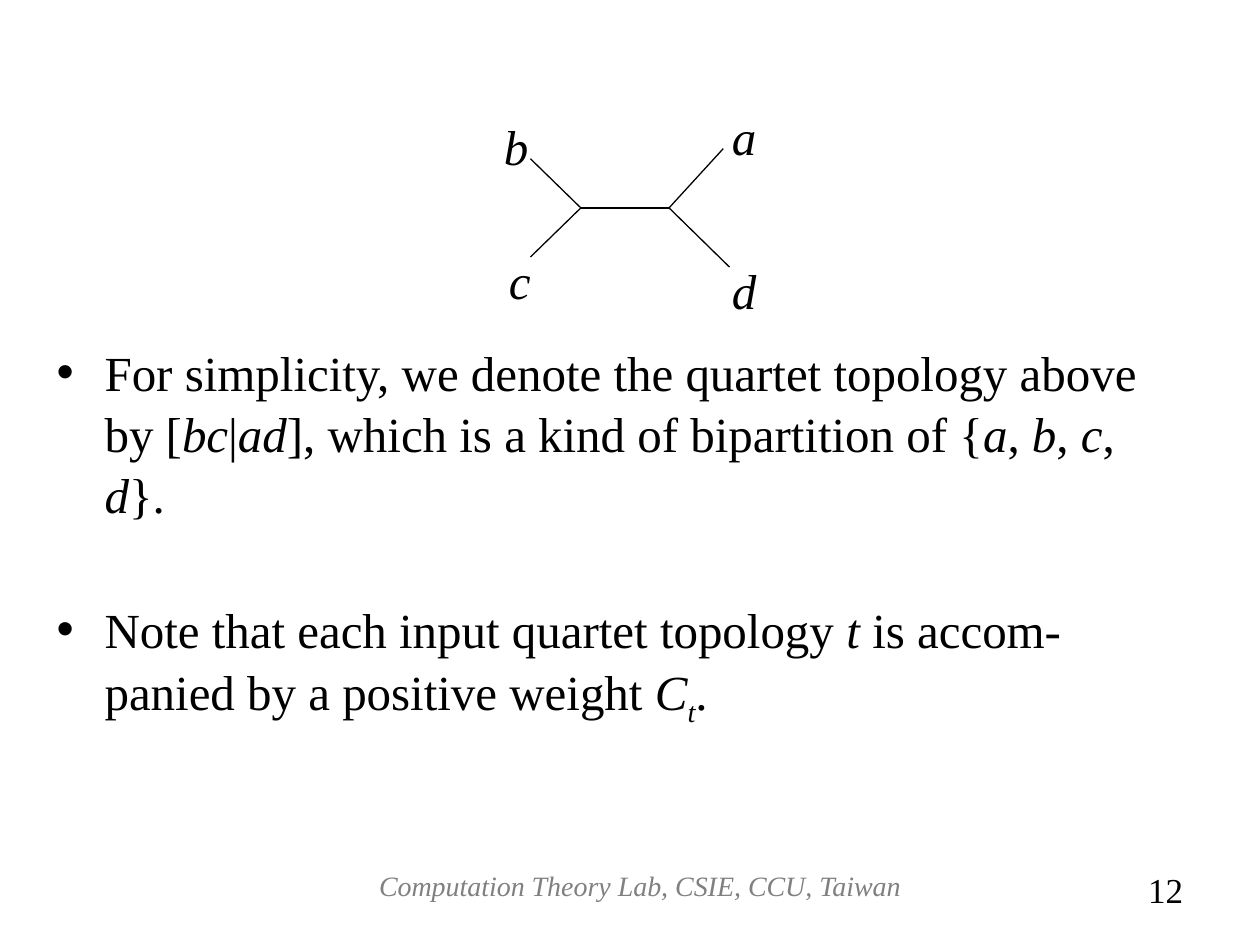
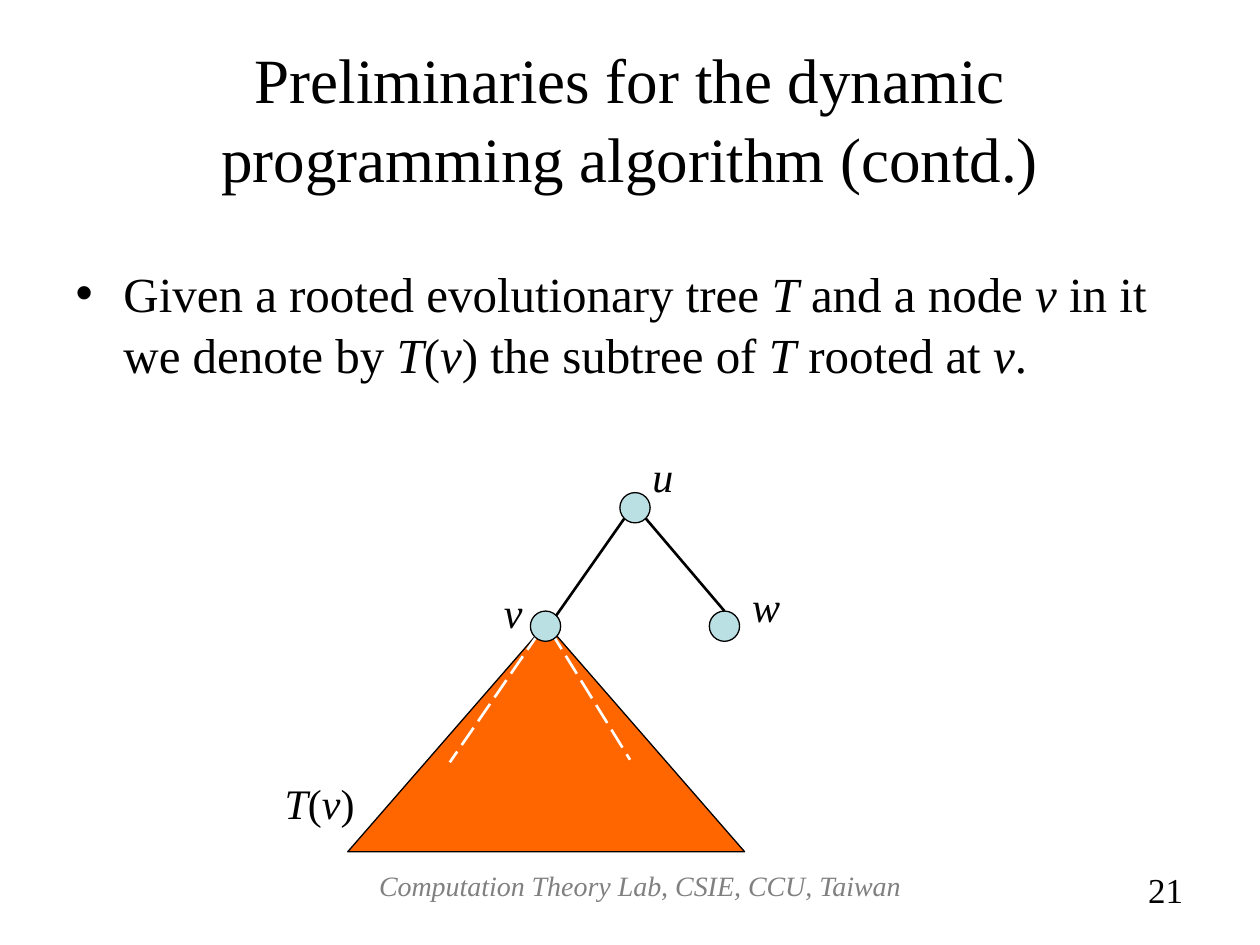
from dataclasses import dataclass
from math import sqrt

from lxml import etree
from pptx import Presentation
from pptx.dml.color import RGBColor
from pptx.enum.dml import MSO_LINE
from pptx.enum.shapes import MSO_CONNECTOR, MSO_SHAPE
from pptx.enum.text import MSO_ANCHOR, MSO_AUTO_SIZE, PP_ALIGN
from pptx.oxml.ns import qn
from pptx.util import Inches, Pt

LEFT, CENTER, RIGHT = PP_ALIGN.LEFT, PP_ALIGN.CENTER, PP_ALIGN.RIGHT
TOP, MIDDLE = MSO_ANCHOR.TOP, MSO_ANCHOR.MIDDLE
OVAL, TRIANGLE = MSO_SHAPE.OVAL, MSO_SHAPE.ISOSCELES_TRIANGLE
STRAIGHT, LONG_DASH = MSO_CONNECTOR.STRAIGHT, MSO_LINE.LONG_DASH
NO_AUTOFIT = MSO_AUTO_SIZE.NONE


@dataclass(frozen=True)
class Theme:
    font: str = "Times New Roman"
    ink: str = "000000"
    muted: str = "808080"
    paper: str = "FFFFFF"
    node: str = "BBE0E3"
    subtree: str = "FF6600"
    title: int = 36
    body: int = 28
    label: int = 24
    number: int = 20
    footer: int = 16
    thin: float = 0.75
    thick: float = 1.5
    spacing: float = 1.04


THEME = Theme()
FOOTER = "Computation Theory Lab, CSIE, CCU, Taiwan"


def rgb(value):
    return RGBColor.from_string(value)


def add_runs(p, text, size, color=THEME.ink):
    """Write text in which *stars* mark italics and _underscores_ an italic subscript."""
    for i, part in enumerate(text.split("*")):
        for j, piece in enumerate(part.split("_")):
            if not piece:
                continue
            r = p.add_run()
            r.text = piece
            style = {"name": THEME.font, "size": Pt(size),
                     "italic": bool(i % 2 or j % 2)}
            for name, value in style.items():
                setattr(r.font, name, value)
            r.font.color.rgb = rgb(color)
            if j % 2:
                r.font._element.set("baseline", "-25000")


def format_frame(tf, anchor=TOP):
    style = {"word_wrap": True, "auto_size": NO_AUTOFIT, "vertical_anchor": anchor,
             "margin_left": Inches(0.1), "margin_right": Inches(0.1),
             "margin_top": Inches(0.05), "margin_bottom": Inches(0.05)}
    for name, value in style.items():
        setattr(tf, name, value)


def format_paragraph(p, align=LEFT, before=0):
    style = {"alignment": align, "space_before": Pt(before),
             "line_spacing": THEME.spacing}
    for name, value in style.items():
        setattr(p, name, value)


def place(sp, box):
    for name, value in zip(("left", "top", "width", "height"), box):
        setattr(sp, name, Inches(value))


def add_text(slide, box, text, size, color=THEME.ink, align=LEFT):
    tf = slide.shapes.add_textbox(*map(Inches, box)).text_frame
    format_frame(tf)
    format_paragraph(tf.paragraphs[0], align)
    add_runs(tf.paragraphs[0], text, size, color)


def add_line(slide, start, end, color=THEME.ink, width=THEME.thin, dash=None):
    line = slide.shapes.add_connector(STRAIGHT, *map(Inches, (*start, *end)))
    line.line.color.rgb = rgb(color)
    line.line.width = Pt(width)
    if dash:
        line.line.dash_style = dash
    etree.SubElement(line._element.spPr, qn("a:effectLst"))
    return line


def add_outlined(slide, kind, box, fill):
    sp = slide.shapes.add_shape(kind, *map(Inches, box))
    sp.shadow.inherit = False
    sp.fill.solid()
    sp.fill.fore_color.rgb = rgb(fill)
    sp.line.color.rgb = rgb(THEME.ink)
    sp.line.width = Pt(THEME.thin)
    return sp


def fill_title(slide, box, text):
    sp = slide.shapes.title
    place(sp, box)
    format_frame(sp.text_frame, MIDDLE)
    p = sp.text_frame.paragraphs[0]
    format_paragraph(p, CENTER)
    add_runs(p, text, THEME.title)


def fill_bullets(slide, box, items):
    sp = slide.placeholders[1]
    place(sp, box)
    tf = sp.text_frame
    format_frame(tf)
    for i, item in enumerate(items):
        p = tf.add_paragraph() if i else tf.paragraphs[0]
        format_paragraph(p, before=42 if i else 0)
        pPr = p._p.get_or_add_pPr()
        pPr.set("marL", str(Inches(0.38)))
        pPr.set("indent", str(-Inches(0.38)))
        etree.SubElement(pPr, qn("a:buChar"), char="•")
        add_runs(p, item, THEME.body)


def add_footer(slide, number):
    top, height = 6.83, 0.52
    add_text(slide, (2.4, top, 5.36, height), f"*{FOOTER}*", THEME.footer,
             THEME.muted, CENTER)
    add_text(slide, (7.99, top, 1.5, height), str(number), THEME.number, align=RIGHT)


def draw_quartet(slide, left, top):
    """Draw two inner points, each joined to two leaves."""
    def at(x, y):
        return left + x, top + y

    for name, x, y in (("a", 1.81, 0), ("b", 0, 0.08), ("c", 0.04, 1.14),
                       ("d", 1.81, 1.22)):
        add_text(slide, (*at(x, y), 0.32, 0.57), f"*{name}*", THEME.body)
    bc, ad = at(0.71, 0.87), at(1.41, 0.87)
    add_line(slide, bc, ad)
    for inner, x, y in ((bc, 0.31, 0.48), (bc, 0.31, 1.26),
                        (ad, 1.84, 0.4), (ad, 1.89, 1.34)):
        add_line(slide, inner, at(x, y))


def draw_rooted_tree(slide, left, top):
    """Draw root u with children v and w, and the subtree below v."""
    def at(x, y):
        return left + x, top + y

    add_outlined(slide, TRIANGLE, (*at(0.6, 1.44), 3.15, 1.81), THEME.subtree)
    for start, end in (((2.12, 1.51), (1.41, 2.54)), ((2.21, 1.5), (2.84, 2.52))):
        add_line(slide, at(*start), at(*end), THEME.paper, THEME.thick, LONG_DASH)

    radius = 0.12
    centers = {"u": at(2.88, 0.52), "v": at(2.17, 1.46), "w": at(3.59, 1.46)}
    nodes = {name: add_outlined(slide, OVAL, (x - radius, y - radius,
                                              2 * radius, 2 * radius), THEME.node)
             for name, (x, y) in centers.items()}

    def rim(name, dx, dy):
        x, y = centers[name]
        return x + dx * radius / sqrt(2), y + dy * radius / sqrt(2)

    add_line(slide, rim("u", -1, 1), rim("v", 1, -1), width=THEME.thick)
    edge = add_line(slide, rim("u", 1, 1), centers["w"], width=THEME.thick)
    edge.end_connect(nodes["w"], 0)

    for text, x, y, width in (("*u*", 2.92, 0, 0.39), ("*v*", 1.74, 1.08, 0.39),
                              ("*w*", 3.71, 1.03, 0.39), ("*T*(*v*)", 0, 2.6, 0.79)):
        add_text(slide, (*at(x, y), width, 0.5), text, THEME.label)


def build_quartet_slide(prs):
    slide = prs.slides.add_slide(prs.slide_layouts[1])
    title = slide.shapes.title._element
    title.getparent().remove(title)
    fill_bullets(slide, (0.35, 2.65, 9.15, 4.05), (
        "For simplicity, we denote the quartet topology above by [*bc*|*ad*], "
        "which is a kind of bipartition of {*a*, *b*, *c*, *d*}.",
        "Note that each input quartet topology *t* is accom-panied by a "
        "positive weight *C*_t_.",
    ))
    draw_quartet(slide, 3.9, 0.78)
    add_footer(slide, 12)


def build_subtree_slide(prs):
    slide = prs.slides.add_slide(prs.slide_layouts[1])
    fill_title(slide, (0.5, 0.3, 9, 1.25),
               "Preliminaries for the dynamic programming algorithm (contd.)")
    fill_bullets(slide, (0.5, 2.02, 9, 4.68), (
        "Given a rooted evolutionary tree *T* and a node *v* in it we denote by "
        "*T*(*v*) the subtree of *T* rooted at *v*.",
    ))
    draw_rooted_tree(slide, 2.16, 3.51)
    add_footer(slide, 21)


def main():
    prs = Presentation()
    prs.slide_width, prs.slide_height = Inches(10), Inches(7.5)
    build_quartet_slide(prs)
    build_subtree_slide(prs)
    prs.save("out.pptx")


if __name__ == "__main__":
    main()
